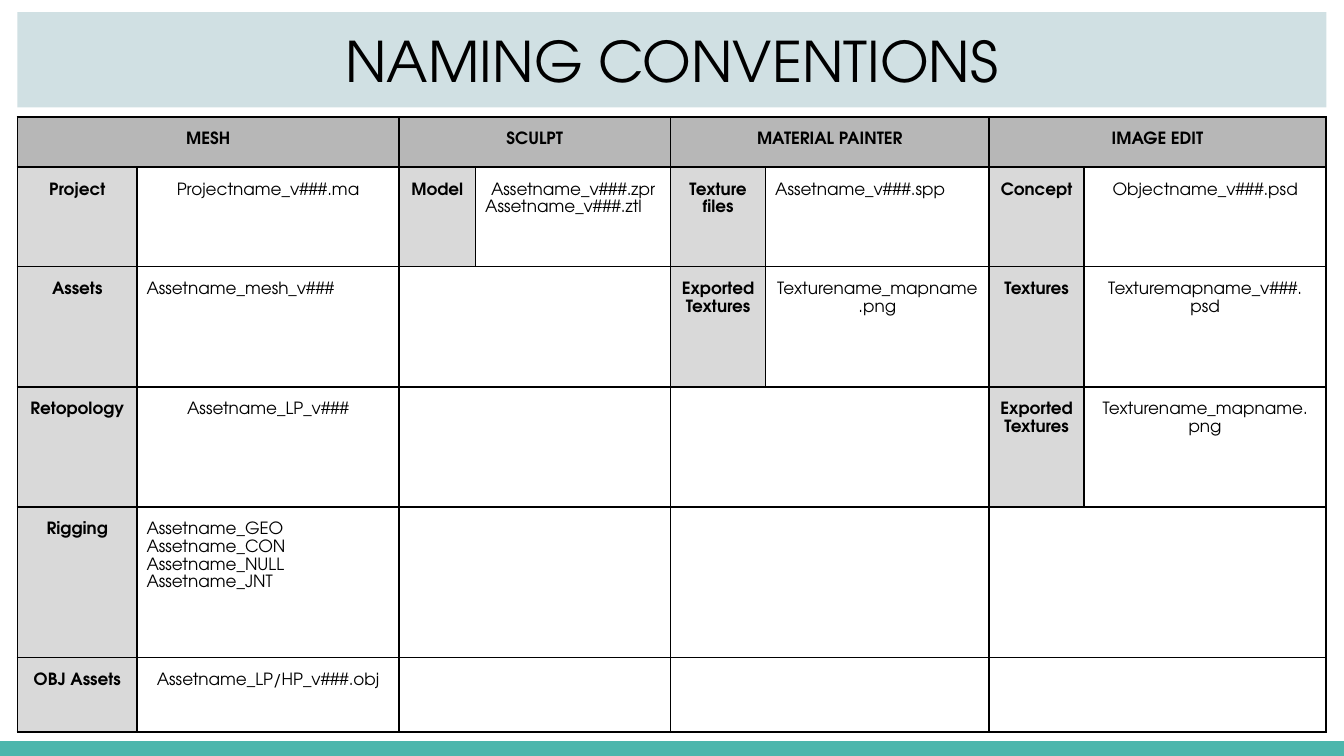
from dataclasses import dataclass

from lxml import etree
from pptx import Presentation
from pptx.dml.color import RGBColor
from pptx.enum.shapes import MSO_SHAPE
from pptx.enum.text import MSO_ANCHOR, PP_ALIGN
from pptx.oxml.ns import qn
from pptx.util import Cm, Pt

RECTANGLE = MSO_SHAPE.RECTANGLE
TOP, MIDDLE = MSO_ANCHOR.TOP, MSO_ANCHOR.MIDDLE
LEFT, CENTER = PP_ALIGN.LEFT, PP_ALIGN.CENTER


@dataclass(frozen=True)
class Theme:
    font: str = "TeX Gyre Adventor"
    text: str = "000000"
    border: str = "000000"
    footer: str = "4DB6AC"
    title_band: str = "D0E0E3"
    header: str = "B7B7B7"
    label: str = "D9D9D9"
    title_size: int = 30
    table_size: int = 9
    border_width: int = 1


@dataclass(frozen=True)
class Line:
    text: str
    align: PP_ALIGN = CENTER


@dataclass(frozen=True)
class Convention:
    label: str
    patterns: tuple[Line, ...]


@dataclass(frozen=True)
class Program:
    name: str
    label_width: float
    pattern_width: float
    conventions: tuple[Convention, ...]


THEME = Theme()
SLIDE_WIDTH, SLIDE_HEIGHT = 25.4, 14.29
MARGIN = 0.33
CONTENT_WIDTH = SLIDE_WIDTH - 2 * MARGIN
FOOTER_HEIGHT = 0.28
TABLE_TOP = 2.21
ROW_HEIGHTS = (0.95, 1.88, 2.27, 2.27, 2.85, 1.41)

PROGRAMS = (
    Program("MESH", 2.26, 4.95, (
        Convention("Project", (Line("Projectname_v###.ma"),)),
        Convention("Assets", (Line("Assetname_mesh_v###", LEFT),)),
        Convention("Retopology", (Line("Assetname_LP_v###"),)),
        Convention("Rigging", tuple(
            Line(f"Assetname_{part}", LEFT) for part in ("GEO", "CON", "NULL", "JNT"))),
        Convention("OBJ Assets", (Line("Assetname_LP/HP_v###.obj"),)),
    )),
    Program("SCULPT", 1.45, 3.68, (
        Convention("Model", (Line("Assetname_v###.zpr"), Line("Assetname_v###.ztl", LEFT))),
    )),
    Program("MATERIAL PAINTER", 1.8, 4.22, (
        Convention("Texture files", (Line("Assetname_v###.spp", LEFT),)),
        Convention("Exported Textures", (Line("Texturename_mapname.png"),)),
    )),
    Program("IMAGE EDIT", 1.8, 4.57, (
        Convention("Concept", (Line("Objectname_v###.psd"),)),
        Convention("Textures", (Line("Texturemapname_v###."), Line("psd"))),
        Convention("Exported Textures", (Line("Texturename_mapname."), Line("png"))),
    )),
)


def write_text(frame, lines: tuple[Line, ...], *, size: int, bold: bool = False,
               spacing: float = 1.0) -> None:
    frame.word_wrap = True
    for index, line in enumerate(lines):
        paragraph = frame.paragraphs[0] if index == 0 else frame.add_paragraph()
        paragraph.alignment = line.align
        paragraph.line_spacing = spacing
        run = paragraph.add_run()
        run.text = line.text
        run.font.name = THEME.font
        run.font.size = Pt(size)
        run.font.bold = bold
        run.font.color.rgb = RGBColor.from_string(THEME.text)


def add_band(slide, left: float, top: float, width: float, height: float, color: str):
    band = slide.shapes.add_shape(RECTANGLE, Cm(left), Cm(top), Cm(width), Cm(height))
    band.shadow.inherit = False
    band.fill.solid()
    band.fill.fore_color.rgb = RGBColor.from_string(color)
    band.line.fill.background()
    return band


def add_title(slide) -> None:
    band = add_band(slide, MARGIN, 0.23, CONTENT_WIDTH, 1.8, THEME.title_band)
    frame = band.text_frame
    frame.vertical_anchor = MIDDLE
    frame.margin_left = frame.margin_right = Cm(0.25)
    frame.margin_top = frame.margin_bottom = Cm(0.25)
    write_text(frame, (Line("NAMING CONVENTIONS"),), size=THEME.title_size)


def clear_style(cell) -> None:
    """Give a cell no fill, plain borders and the common margins."""
    cell.margin_left = cell.margin_right = Cm(0.18)
    cell.margin_top = cell.margin_bottom = Cm(0.25)
    cell.vertical_anchor = TOP
    properties = cell._tc.get_or_add_tcPr()
    for side in ("a:lnL", "a:lnR", "a:lnT", "a:lnB"):
        border = etree.SubElement(properties, qn(side), w=str(Pt(THEME.border_width)))
        fill = etree.SubElement(border, qn("a:solidFill"))
        etree.SubElement(fill, qn("a:srgbClr"), val=THEME.border)
    cell.fill.background()


def fill_cell(cell, lines: tuple[Line, ...], *, color: str = "", bold: bool = False) -> None:
    if color:
        cell.fill.solid()
        cell.fill.fore_color.rgb = RGBColor.from_string(color)
    write_text(cell.text_frame, lines, size=THEME.table_size, bold=bold, spacing=1.15)


def fill_program(table, program: Program, column: int) -> None:
    """Fill the pair of columns that starts at column; rows without a convention are merged."""
    table.columns[column].width = Cm(program.label_width)
    table.columns[column + 1].width = Cm(program.pattern_width)
    for row in range(len(ROW_HEIGHTS)):
        first, second = table.cell(row, column), table.cell(row, column + 1)
        clear_style(first)
        clear_style(second)
        if row == 0:
            first.merge(second)
            fill_cell(first, (Line(program.name),), color=THEME.header, bold=True)
        elif row <= len(program.conventions):
            convention = program.conventions[row - 1]
            fill_cell(first, (Line(convention.label),), color=THEME.label, bold=True)
            fill_cell(second, convention.patterns)
        else:
            first.merge(second)


def add_conventions_table(slide) -> None:
    table = slide.shapes.add_table(
        len(ROW_HEIGHTS), 2 * len(PROGRAMS), Cm(MARGIN), Cm(TABLE_TOP),
        Cm(CONTENT_WIDTH), Cm(sum(ROW_HEIGHTS))).table
    table.first_row = table.horz_banding = False
    for row, height in zip(table.rows, ROW_HEIGHTS):
        row.height = Cm(height)
    for index, program in enumerate(PROGRAMS):
        fill_program(table, program, 2 * index)


def main() -> None:
    presentation = Presentation()
    presentation.slide_width = Cm(SLIDE_WIDTH)
    presentation.slide_height = Cm(SLIDE_HEIGHT)
    slide = presentation.slides.add_slide(presentation.slide_layouts[6])
    add_band(slide, 0, SLIDE_HEIGHT - FOOTER_HEIGHT, SLIDE_WIDTH, FOOTER_HEIGHT, THEME.footer)
    add_title(slide)
    add_conventions_table(slide)
    presentation.save("out.pptx")


if __name__ == "__main__":
    main()
